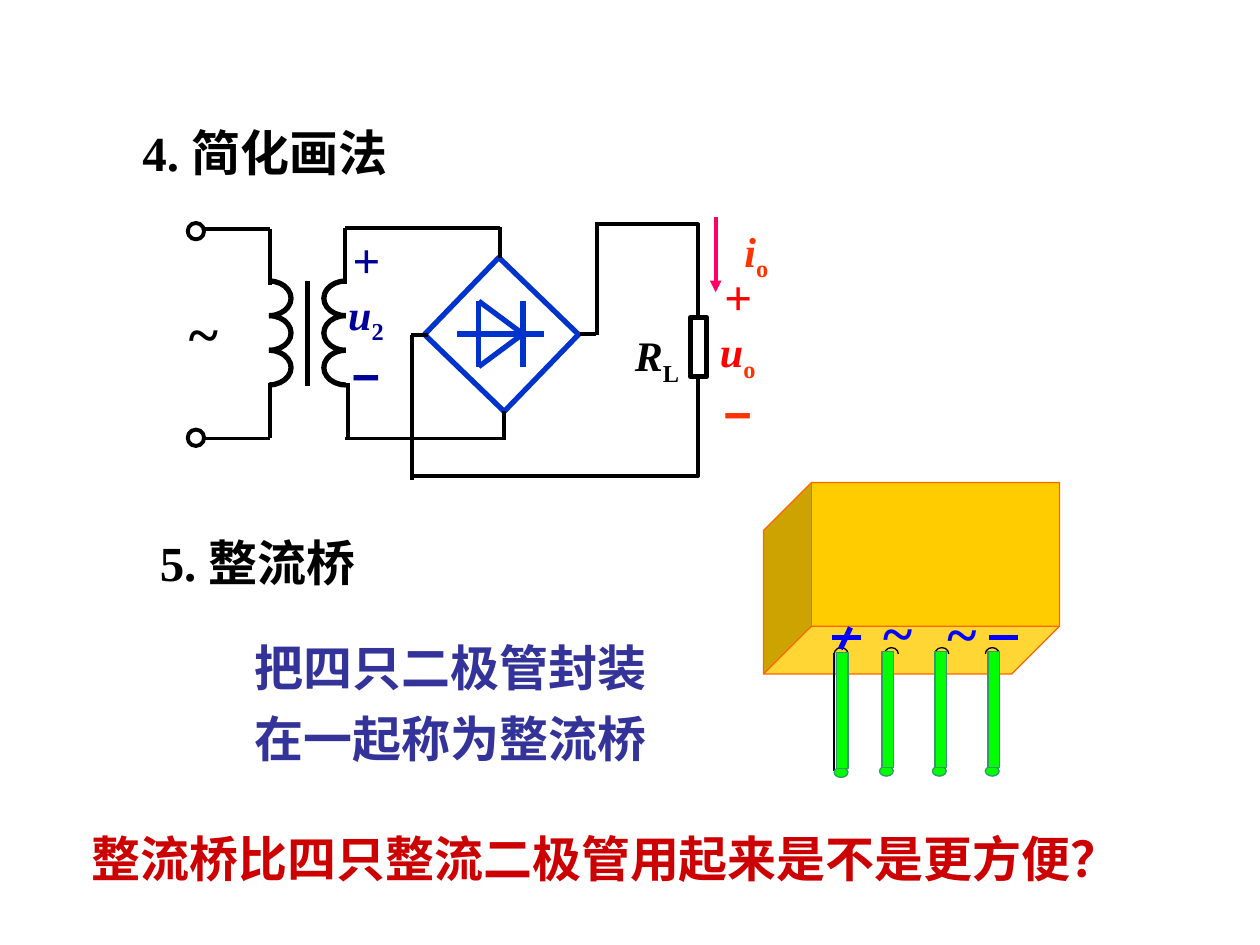
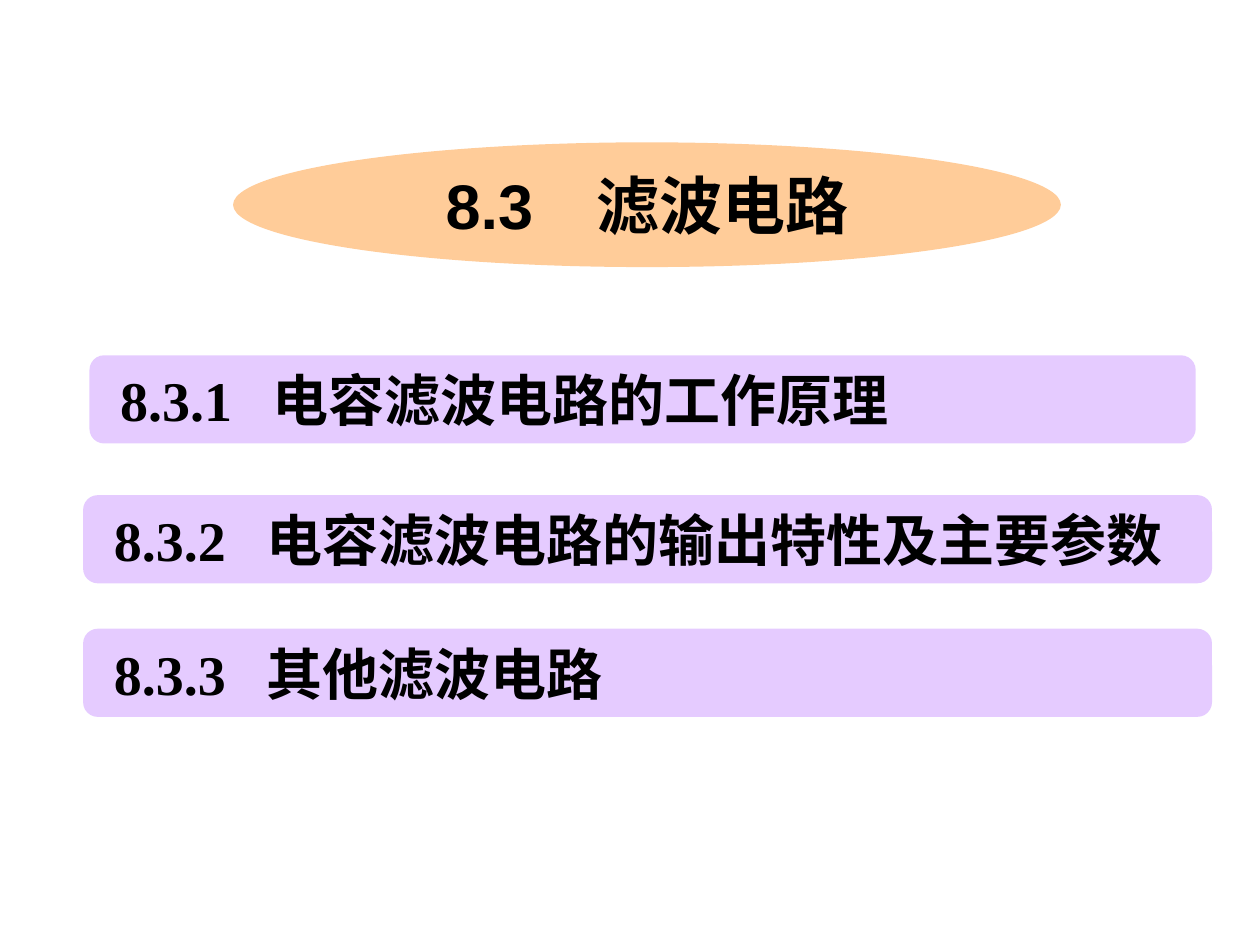
from lxml.etree import SubElement
from pptx import Presentation
from pptx.dml.color import RGBColor
from pptx.enum.shapes import MSO_CONNECTOR, MSO_SHAPE
from pptx.enum.text import MSO_ANCHOR, MSO_AUTO_SIZE, PP_ALIGN
from pptx.oxml.ns import qn
from pptx.util import Cm, Pt

# Shared colours and fonts
BLACK = RGBColor(0x00, 0x00, 0x00)
WHITE = RGBColor(0xFF, 0xFF, 0xFF)
BRIDGE_BLUE = RGBColor(0x00, 0x33, 0xCC)
NAVY = RGBColor(0x00, 0x00, 0x99)
INDIGO = RGBColor(0x33, 0x33, 0x99)
BRIGHT_BLUE = RGBColor(0x00, 0x00, 0xFF)
RED = RGBColor(0xFF, 0x00, 0x00)
ORANGE_RED = RGBColor(0xFF, 0x33, 0x00)
DARK_RED = RGBColor(0xCC, 0x00, 0x00)
PINK = RGBColor(0xFF, 0x00, 0x66)
GOLD = RGBColor(0xFF, 0xCC, 0x00)
ORANGE = RGBColor(0xFF, 0x66, 0x00)
GREEN = RGBColor(0x00, 0xFF, 0x00)
DARK_GREEN = RGBColor(0x33, 0x99, 0x66)
PEACH = RGBColor(0xFF, 0xCC, 0x99)
LILAC = RGBColor(0xCC, 0x99, 0xFF)
SERIF, SANS = "Times New Roman", "Arial"
WIRE, THICK, THIN = 2.25, 3, 0.75

# Content of slide 1; positions are in inches
CIRCUIT_TITLE = "4. 简化画法"
BRIDGE_HEADING = "5. 整流桥"
BRIDGE_LINES = ["把四只二极管封装", "在一起称为整流桥"]
QUESTION = "整流桥比四只整流二极管用起来是不是更方便？"

WIRES = [  # x1, y1, x2, y2
    (2.14, 1.82, 2.14, 2.26), (2.14, 3.04, 2.14, 3.48),
    (2.14, 1.82, 1.51, 1.82), (2.14, 3.48, 1.51, 3.48),
    (2.74, 1.81, 2.74, 2.25), (2.76, 3.04, 2.76, 3.48),
    (2.74, 1.81, 3.97, 1.81), (2.74, 3.48, 4.01, 3.48),
    (3.97, 1.80, 3.97, 2.05), (4.00, 3.26, 4.00, 3.49),
    (4.60, 2.65, 4.73, 2.65), (4.74, 2.66, 4.74, 1.76),
    (3.26, 2.66, 3.40, 2.66), (3.27, 2.66, 3.27, 3.81),
]
LOAD_WIRE = [(4.74, 1.78), (5.54, 1.78), (5.54, 3.78), (3.28, 3.78)]
DIODE = [
    (4.15, 2.91, 4.15, 2.39), (3.80, 2.91, 3.80, 2.39),
    (4.15, 2.65, 3.80, 2.91), (4.15, 2.65, 3.80, 2.39),
    (3.63, 2.65, 4.32, 2.65),
]
POLARITY_MARKS = [
    (7.85, 5.06, 8.08, 5.06), (6.60, 5.06, 6.83, 5.06), (6.75, 4.98, 6.67, 5.15),
]
COILS = [(1.96, 270, 90), (2.57, 90, 270)]  # left, start angle, end angle
TERMINAL_TOPS = [1.77, 3.41]
PINS = [(6.62, 5.18), (6.98, 5.17), (7.40, 5.17), (7.82, 5.17)]  # left, top
VOLTAGES = [  # left, top, subscript, main colour, lower colour
    (2.54, 1.77, "2", NAVY, NAVY), (5.49, 2.07, "o", RED, ORANGE_RED),
]
SYMBOLS = [  # letter, subscript, left, top, width, colour
    ("R", "L", 4.94, 2.57, 0.55, BLACK), ("i", "o", 5.81, 1.74, 0.39, ORANGE_RED),
]
TILDES = [(1.40, 2.32, BLACK), (6.91, 4.69, BRIGHT_BLUE), (7.42, 4.70, BRIGHT_BLUE)]

# Content of slide 2
SECTION_TITLE = [("8.3　", SANS), ("滤波电路", SERIF)]
SECTION_BOX = (1.85, 1.13, 6.57, 0.99)
TOPICS = [  # number, name, left, top, width
    ("8.3.1", "电容滤波电路的工作原理", 0.71, 2.82, 8.78),
    ("8.3.2", "电容滤波电路的输出特性及主要参数", 0.66, 3.93, 8.96),
    ("8.3.3", "其他滤波电路", 0.66, 4.99, 8.96),
]


# Drawing helpers
def inches(value):
    return Cm(round(value * 2.54, 3))


def place(shape, box):
    shape.left, shape.top, shape.width, shape.height = map(inches, box)


def add_shape(slide, kind, box, fill=None, line=None, weight=THIN):
    shape = slide.shapes.add_shape(kind, *map(inches, box))
    paint(shape, fill, line, weight)
    return shape


def paint(shape, fill, line, weight):
    shape.shadow.inherit = False
    if fill is None:
        shape.fill.background()
    else:
        shape.fill.solid()
        shape.fill.fore_color.rgb = fill
    if line is None:
        shape.line.fill.background()
    else:
        shape.line.color.rgb = line
        shape.line.width = Pt(weight)


def add_line(slide, ends, color=BLACK, weight=WIRE, arrow=False):
    connector = slide.shapes.add_connector(MSO_CONNECTOR.STRAIGHT, *map(inches, ends))
    connector.line.color.rgb = color
    connector.line.width = Pt(weight)
    properties = connector._element.spPr
    if arrow:
        SubElement(properties.find(qn("a:ln")), qn("a:tailEnd"), type="triangle")
    SubElement(properties, qn("a:effectLst"))


def add_arc(slide, box, start, end, weight):
    arc = add_shape(slide, MSO_SHAPE.ARC, box, None, BLACK, weight)
    # Angles are stored in 60000ths of a degree, adjustments in 100000ths
    arc.adjustments[0], arc.adjustments[1] = start * 0.6, end * 0.6


def add_run(paragraph, text, size, color=BLACK, font=SERIF, italic=False, subscript=False):
    run = paragraph.add_run()
    run.text = text
    run.font.name, run.font.size = font, Pt(size)
    run.font.bold, run.font.italic = True, italic
    run.font.color.rgb = color
    if subscript:
        run._r.get_or_add_rPr().set("baseline", "-25000")


def prepare(shape, wrap=True, anchor=MSO_ANCHOR.TOP):
    frame = shape.text_frame
    frame.word_wrap, frame.auto_size = wrap, MSO_AUTO_SIZE.NONE
    frame.vertical_anchor = anchor
    return frame


def add_text_box(slide, box, wrap=True):
    return prepare(slide.shapes.add_textbox(*map(inches, box)), wrap)


def place_title(slide, box, runs, size, align, anchor):
    title = slide.shapes.title
    place(title, box)
    paragraph = prepare(title, anchor=anchor).paragraphs[0]
    paragraph.alignment = align
    for text, font in runs:
        add_run(paragraph, text, size, font=font)


def draw_circuit(slide):
    # Rectifier bridge
    diamond = add_shape(slide, MSO_SHAPE.RECTANGLE, (3.54, 2.23, 0.88, 0.85),
                        None, BRIDGE_BLUE, THICK)
    diamond.rotation = 44
    for ends in DIODE:
        add_line(slide, ends, BRIDGE_BLUE, THICK)

    # Transformer: three turns a side around a core
    turn = 0.275
    for left, start, end in COILS:
        for index in range(3):
            add_arc(slide, (left, 2.23 + index * turn, 0.35, turn), start, end, THICK)
    add_line(slide, (2.44, 2.23, 2.44, 3.06), weight=THICK)

    # Wires, terminals and load
    for ends in WIRES:
        add_line(slide, ends)
    for top in TERMINAL_TOPS:
        add_shape(slide, MSO_SHAPE.OVAL, (1.49, top, 0.13, 0.13), WHITE, BLACK, WIRE)
    points = [(inches(x), inches(y)) for x, y in LOAD_WIRE]
    builder = slide.shapes.build_freeform(*points[0])
    builder.add_line_segments(points[1:], close=False)
    paint(builder.convert_to_shape(), None, BLACK, 2)
    add_shape(slide, MSO_SHAPE.RECTANGLE, (5.48, 2.52, 0.13, 0.47), WHITE, BLACK, THICK)
    add_line(slide, (5.68, 1.72, 5.68, 2.32), PINK, arrow=True)

    # Labels
    for left, top, subscript, color, lower_color in VOLTAGES:
        frame = add_text_box(slide, (left, top, 0.73, 1.5))
        plus, voltage, minus = frame.paragraphs[0], frame.add_paragraph(), frame.add_paragraph()
        add_run(plus, "+", 28, color, italic=True)
        add_run(voltage, "u", 24, color, italic=True)
        add_run(voltage, subscript, 24, lower_color, subscript=True)
        add_run(minus, "−", 28, lower_color, SANS)
        for paragraph in frame.paragraphs:
            paragraph.alignment = PP_ALIGN.CENTER
    for letter, subscript, left, top, width, color in SYMBOLS:
        paragraph = add_text_box(slide, (left, top, width, 0.56), wrap=False).paragraphs[0]
        add_run(paragraph, letter, 24, color, italic=True)
        add_run(paragraph, subscript, 24, color, subscript=True)


def draw_package(slide):
    cube = add_shape(slide, MSO_SHAPE.CUBE, (6.06, 3.83, 2.35, 1.52), GOLD, ORANGE)
    for flip in ("flipH", "flipV"):
        cube._element.spPr.xfrm.set(flip, "1")
    for x in (6.62, 6.72):
        add_line(slide, (x, 5.18, x, 6.12), weight=THIN)
    for index, (left, top) in enumerate(PINS):
        add_arc(slide, (6.62 + 0.4 * index, 5.14, 0.11, 0.1), 180, 0, THIN)
        add_shape(slide, MSO_SHAPE.OVAL, (left, top + 0.91, 0.11, 0.08), GREEN, DARK_GREEN)
        add_shape(slide, MSO_SHAPE.RECTANGLE, (left + 0.02, top, 0.09, 0.92), GREEN, DARK_GREEN)
    for ends in POLARITY_MARKS:
        add_line(slide, ends, BRIGHT_BLUE, THICK)


def build_circuit_slide(presentation):
    slide = presentation.slides.add_slide(presentation.slide_layouts[1])
    place_title(slide, (1.03, 0.92, 2.71, 0.57), [(CIRCUIT_TITLE, SERIF)], 28,
                PP_ALIGN.LEFT, MSO_ANCHOR.TOP)
    body = slide.placeholders[1]
    place(body, (1.92, 4.92, 3.95, 1.22))
    frame = prepare(body)
    for index, text in enumerate(BRIDGE_LINES):
        paragraph = frame.add_paragraph() if index else frame.paragraphs[0]
        paragraph.line_spacing, paragraph.space_before = 1.2, Pt(0)
        properties = paragraph._p.get_or_add_pPr()
        properties.set("marL", "0")
        properties.set("indent", "0")
        SubElement(properties, qn("a:buNone"))
        add_run(paragraph, text, 28, INDIGO)

    draw_circuit(slide)
    draw_package(slide)
    for left, top, color in TILDES:
        paragraph = add_text_box(slide, (left, top, 0.43, 0.64), wrap=False).paragraphs[0]
        paragraph.alignment = PP_ALIGN.CENTER
        add_run(paragraph, "~", 32, color)
    for text, box, color in [(BRIDGE_HEADING, (1.17, 4.18, 2.76, 0.57), BLACK),
                             (QUESTION, (0.63, 6.53, 8.78, 0.57), DARK_RED)]:
        add_run(add_text_box(slide, box).paragraphs[0], text, 28, color)


def build_section_slide(presentation):
    slide = presentation.slides.add_slide(presentation.slide_layouts[5])
    ellipse = add_shape(slide, MSO_SHAPE.OVAL, SECTION_BOX, PEACH)
    # Keep the title in front of its ellipse
    ellipse._element.addnext(slide.shapes.title._element)
    place_title(slide, SECTION_BOX, SECTION_TITLE, 36, PP_ALIGN.CENTER, MSO_ANCHOR.MIDDLE)

    # Topic bars, half transparent, with a tab between number and name
    for number, name, left, top, width in TOPICS:
        bar = add_shape(slide, MSO_SHAPE.ROUNDED_RECTANGLE, (left, top, width, 0.7), LILAC)
        color = bar._element.spPr.find(qn("a:solidFill")).find(qn("a:srgbClr"))
        SubElement(color, qn("a:alpha"), val="50000")
        frame = prepare(bar, anchor=MSO_ANCHOR.MIDDLE)
        frame.margin_left = inches(0.21)
        paragraph = frame.paragraphs[0]
        paragraph.alignment = PP_ALIGN.LEFT
        tabs = SubElement(paragraph._p.get_or_add_pPr(), qn("a:tabLst"))
        SubElement(tabs, qn("a:tab"), pos=str(inches(1.21)), algn="l")
        add_run(paragraph, number + "\t", 32)
        add_run(paragraph, name, 32)


presentation = Presentation()
presentation.slide_width, presentation.slide_height = Cm(25.4), Cm(19.05)
build_circuit_slide(presentation)
build_section_slide(presentation)
presentation.save("out.pptx")
